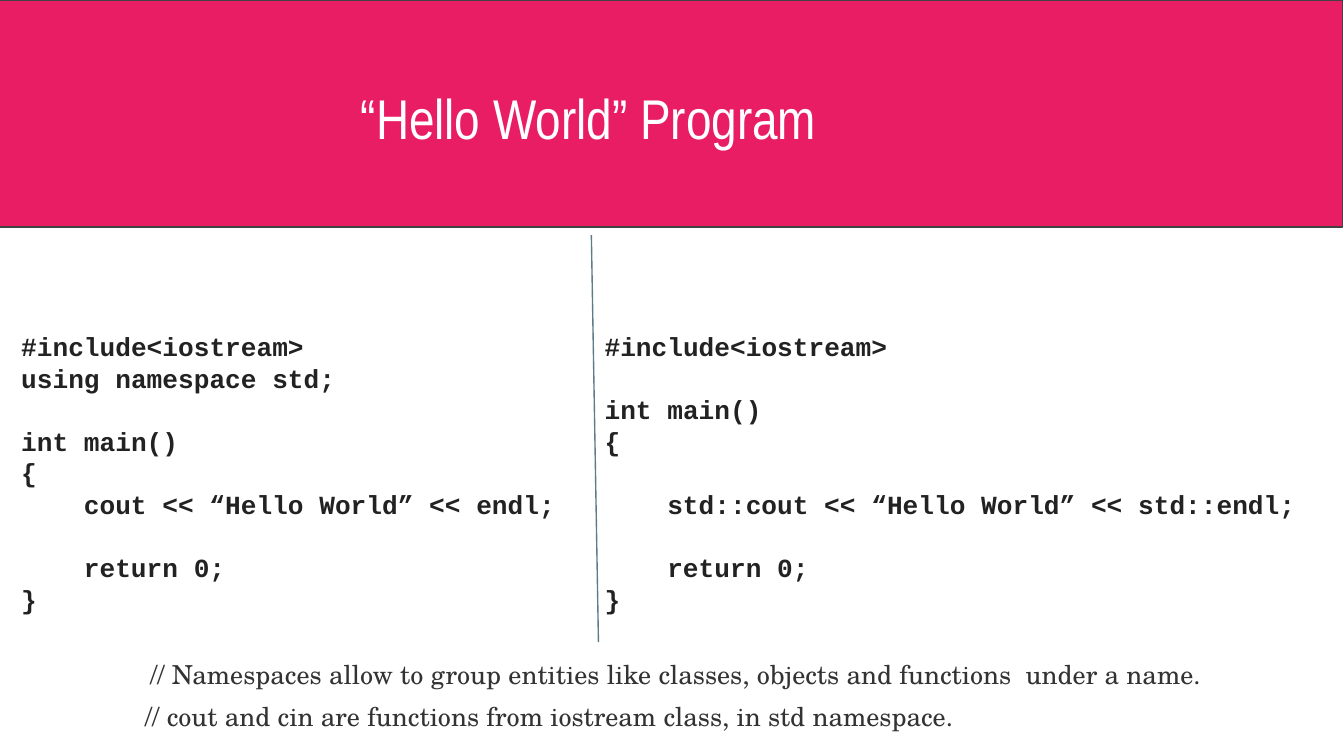
from pptx import Presentation
from pptx.dml.color import RGBColor
from pptx.enum.shapes import MSO_CONNECTOR, MSO_SHAPE
from pptx.enum.text import MSO_ANCHOR, PP_ALIGN
from pptx.util import Pt
from lxml.etree import SubElement
from pptx.oxml.ns import qn


def paint(color):
    return RGBColor.from_string(color)


def write(para, text, face, size, color, bold=False):
    run = para.add_run()
    run.text = text
    run.font.name = face
    run.font.size = Pt(size)
    run.font.bold = bold
    run.font.color.rgb = paint(color)


deck = Presentation()
deck.slide_width, deck.slide_height = Pt(720), Pt(405)
slide = deck.slides.add_slide(deck.slide_layouts[5])
shapes = slide.shapes

title = shapes.title
title.left, title.top, title.width, title.height = Pt(172.8), Pt(2.9), Pt(652), Pt(119.5)
frame = title.text_frame
frame.vertical_anchor = MSO_ANCHOR.MIDDLE
frame.margin_left = Pt(20.5)
frame.margin_top = frame.margin_right = frame.margin_bottom = Pt(7.2)
para = frame.paragraphs[0]
para.alignment = PP_ALIGN.LEFT
write(para, "“Hello World” Program", "Arial Narrow", 30, "FFFFFF")

band = shapes.add_shape(MSO_SHAPE.RECTANGLE, Pt(-0.7), Pt(0), Pt(720), Pt(121.7))
band.shadow.inherit = False
band.fill.solid()
band.fill.fore_color.rgb = paint("E91D63")
band.line.color.rgb = paint("424242")
band.line.width = Pt(0.75)
title.element.addprevious(band.element)

pitch = 16.9
indent = 33.6
short = [
    ("#include<iostream>", 0, 0),
    ("using namespace std;", 0, 0),
    ("int main()", 1, 0),
    ("{", 0, 0),
    ("cout << “Hello World” << endl;", 0, 1),
    ("return 0;", 1, 1),
    ("}", 0, 0),
]
full = [
    ("#include<iostream>", 0, 0),
    ("int main()", 1, 0),
    ("{", 0, 0),
    ("std::cout << “Hello World” << std::endl;", 1, 1),
    ("return 0;", 1, 1),
    ("}", 0, 0),
]
for left, width, code in [(4.3, 316.8, short), (316.8, 399.6, full)]:
    box = shapes.add_textbox(Pt(left), Pt(136.1), Pt(width), Pt(242.6))
    frame = box.text_frame
    frame.word_wrap = True
    frame.margin_left = frame.margin_right = frame.margin_bottom = Pt(7.2)
    frame.margin_top = Pt(7.2 + 2 * pitch)
    for row, (text, gap, level) in enumerate(code):
        para = frame.add_paragraph() if row else frame.paragraphs[0]
        para.line_spacing = Pt(pitch)
        para.space_before = Pt(gap * pitch)
        para._p.get_or_add_pPr().set("marL", str(Pt(level * indent)))
        write(para, text, "Courier New", 14, "222222", True)

rule = shapes.add_connector(MSO_CONNECTOR.STRAIGHT, Pt(316.8), Pt(126), Pt(320.6), Pt(344))
rule.line.color.rgb = paint("5D7B89")
rule.line.width = Pt(0.75)
SubElement(rule.element.spPr, qn("a:effectLst"))

notes = [
    (73.4, 349.2, 597.6, "// Namespaces allow to group entities like classes, objects and functions  under a name."),
    (70.6, 371.5, 549.4, "// cout and cin are functions from iostream class, in std namespace."),
]
for left, top, width, text in notes:
    box = shapes.add_textbox(Pt(left), Pt(top), Pt(width), Pt(24.5))
    box.text_frame.word_wrap = True
    write(box.text_frame.paragraphs[0], text, "TeX Gyre Schola", 14, "333333")

deck.save("out.pptx")
